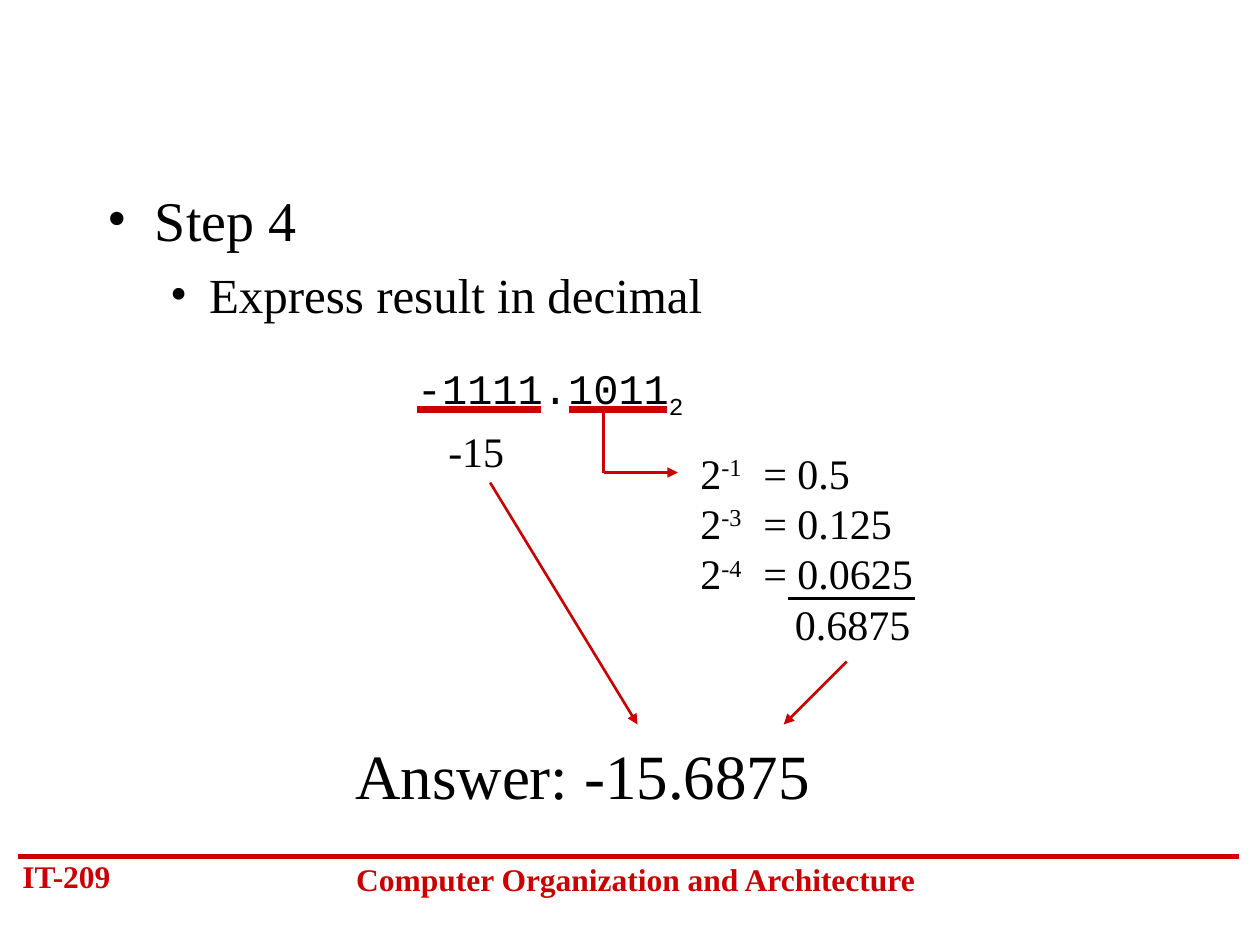
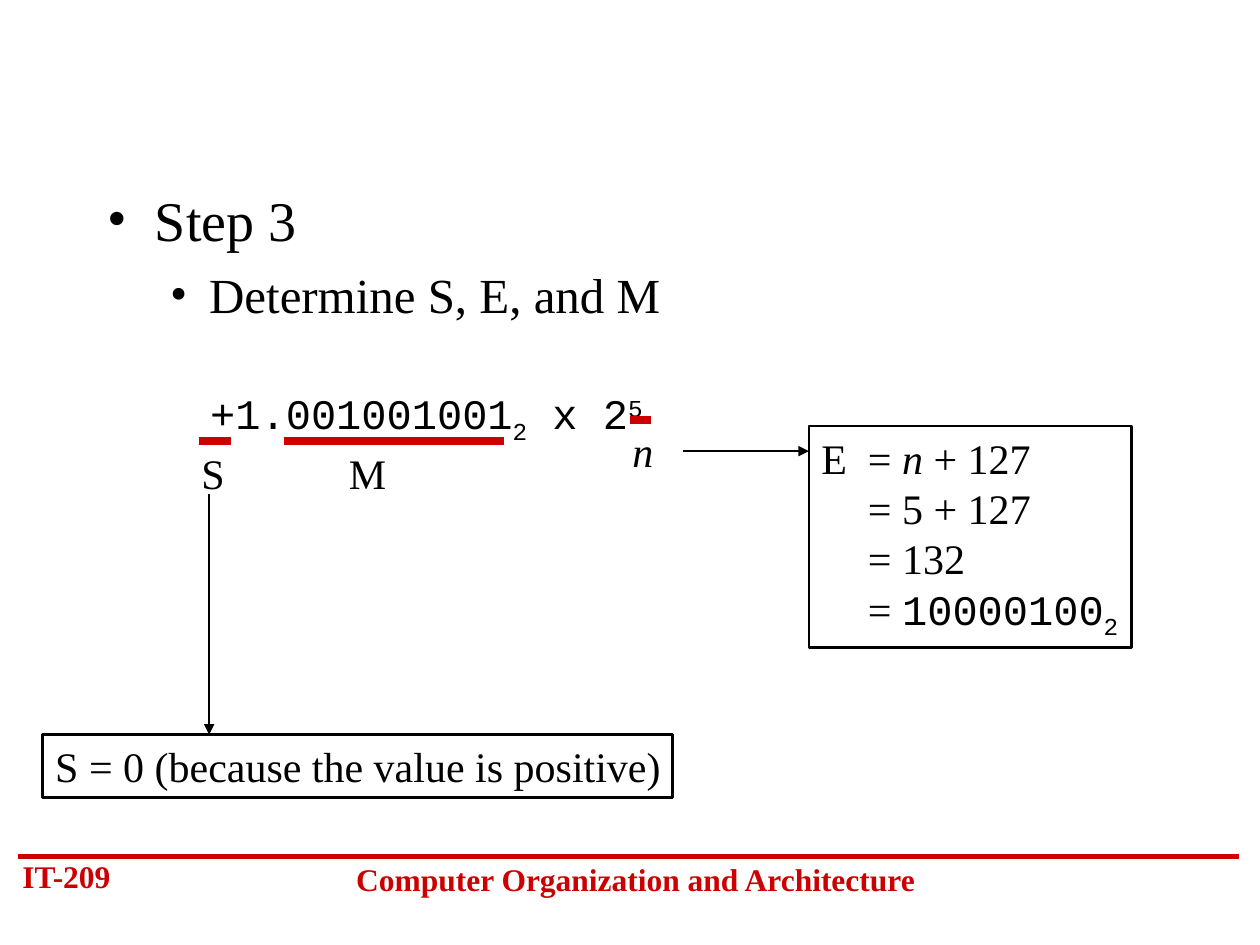
"""Build two slides on converting between binary floating point and decimal."""
from lxml import etree
from pptx import Presentation
from pptx.dml.color import RGBColor
from pptx.enum import shapes, text
from pptx.oxml import ns
from pptx.util import Inches, Pt

RED = RGBColor(0xCC, 0x00, 0x00)
BLACK = RGBColor(0x00, 0x00, 0x00)
SERIF = "Times New Roman"
MONO = "Courier New"
SUB = {"baseline": "-25000"}
SUP = {"baseline": "30000"}
ITALIC = {"i": "1"}
THIN, BAND, THICK = 1.5, 3, 4.5


def write(page, place, paragraphs, size=24, font=SERIF, color=BLACK, bold=False, framed=False):
    """Add text at a place; each paragraph is its tab stop and its runs."""
    area = [Inches(length) for length in place]
    if framed:
        box = page.shapes.add_shape(shapes.MSO_SHAPE.RECTANGLE, *area)
        box.shadow.inherit = False
        box.fill.background()
        box.line.color.rgb = BLACK
        box.line.width = Pt(THIN)
    else:
        box = page.shapes.add_textbox(*area)
    frame = box.text_frame
    frame.word_wrap = not framed
    frame.vertical_anchor = text.MSO_ANCHOR.TOP
    for index, (tab_stop, runs) in enumerate(paragraphs):
        para = frame.add_paragraph() if index else frame.paragraphs[0]
        para.alignment = text.PP_ALIGN.LEFT
        if tab_stop:
            tabs = etree.SubElement(para._p.get_or_add_pPr(), ns.qn("a:tabLst"))
            etree.SubElement(tabs, ns.qn("a:tab"), pos=str(Inches(tab_stop)), algn="l")
        for words, style, *own_font in runs:
            span = para.add_run()
            span.text = words
            span.font.size = Pt(size)
            span.font.name = own_font[0] if own_font else font
            span.font.color.rgb = color
            span.font.bold = bold
            for name, value in style.items():
                span._r.get_or_add_rPr().set(name, value)
    return box


def draw_line(page, ends, color, width, arrow=False):
    """Draw a straight line, with an arrowhead at its end if asked."""
    line = page.shapes.add_connector(
        shapes.MSO_CONNECTOR.STRAIGHT, *[Inches(length) for length in ends])
    line.line.color.rgb = color
    line.line.width = Pt(width)
    properties = line._element.spPr
    if arrow:
        etree.SubElement(properties.find(ns.qn("a:ln")), ns.qn("a:tailEnd"), type="triangle")
    etree.SubElement(properties, ns.qn("a:effectLst"))


deck = Presentation()
deck.slide_width, deck.slide_height = Inches(10), Inches(7.5)

STEPS = [("Step 4", "Express result in decimal"), ("Step 3", "Determine S, E, and M")]
LEVELS = [(32, 8, 0.38, 0.38), (28, 7, 0.81, 0.31)]
pages = []
for step in STEPS:
    page = deck.slides.add_slide(deck.slide_layouts[1])
    pages.append(page)
    title = page.shapes.title._element
    title.getparent().remove(title)

    draw_line(page, (0.14, 6.8, 9.83, 6.8), RED, BAND)
    write(page, (0.08, 6.75, 1.5, 0.4), [(0, [("IT-209", {})])], 18, color=RED, bold=True)
    course = write(page, (2.67, 6.78, 4.75, 0.4),
                   [(0, [("Computer Organization and Architecture", {})])],
                   18, color=RED, bold=True)
    course.text_frame.paragraphs[0].alignment = text.PP_ALIGN.CENTER

    body = page.placeholders[1]
    body.left, body.top = Inches(0.75), Inches(1.42)
    body.width, body.height = Inches(8.5), Inches(4.5)
    body.text_frame.text = "\n".join(step)
    body.text_frame.auto_size = text.MSO_AUTO_SIZE.NONE
    for level, (size, before, margin, hanging) in enumerate(LEVELS):
        para = body.text_frame.paragraphs[level]
        para.level = level
        para.space_before = Pt(before)
        layout = para._p.get_or_add_pPr()
        layout.set("marL", str(Inches(margin)))
        layout.set("indent", str(-Inches(hanging)))
        etree.SubElement(layout, ns.qn("a:buFont"), typeface=SERIF)
        etree.SubElement(layout, ns.qn("a:buChar"), char="•")
        font = para.runs[0].font
        font.size, font.name = Pt(size), SERIF
        font.color.rgb = BLACK

decimal, fields = pages

write(decimal, (3.21, 2.83, 2.51, 0.56), [(0, [("-1111.1011", {}), ("2", SUB)])], font=MONO)
for left, right in [(3.31, 4.29), (4.52, 5.29)]:
    draw_line(decimal, (left, 3.25, right, 3.25), RED, THICK)
write(decimal, (3.46, 3.33, 0.8, 0.5), [(0, [("-15", {})])])

powers = [("-1", "0.5"), ("-3", "0.125"), ("-4", "0.0625")]
total = [(0.5, [("2", {}), (exponent + "\t", SUP), ("= " + value, {})])
         for exponent, value in powers]
total.append((0.75, [("\t0.6875", {})]))
write(decimal, (5.46, 3.5, 2.2, 1.7), total)
draw_line(decimal, (6.25, 4.75, 7.26, 4.75), BLACK, THIN)

draw_line(decimal, (4.79, 3.25, 4.79, 3.75), RED, THIN)
for ends in [(4.79, 3.75, 5.38, 3.75), (3.89, 3.83, 5.06, 5.75), (6.72, 5.25, 6.22, 5.75)]:
    draw_line(decimal, ends, RED, THIN, arrow=True)
write(decimal, (2.72, 5.8, 4, 0.7), [(0, [("Answer: -15.6875", {})])], 36)

write(fields, (1.57, 3.03, 3.8, 0.56),
      [(0, [("+1.001001001", {}), ("2", SUB), (" x 2", {}), ("5", SUP)])], font=MONO)
for left, right, height in [(1.58, 1.83, 3.5), (2.25, 4, 3.5), (5, 5.17, 3.33)]:
    draw_line(fields, (left, height, right, height), RED, THICK)
for name, left, top, style in [
        ("S", 1.5, 3.5, {}), ("M", 2.67, 3.5, {}), ("n", 4.92, 3.33, ITALIC)]:
    write(fields, (left, top, 0.5, 0.5), [(0, [(name, style)])])

write(fields, (0.34, 5.83, 5, 0.5),
      [(0, [("S = 0 (because the value is positive)", {})])], framed=True)
exponent_lines = [
    [("E\t= ", {}), ("n", ITALIC), (" + 127", {})],
    [("\t= 5 + 127", {})],
    [("\t= 132", {})],
    [("\t= ", {}), ("10000100", {}, MONO), ("2", SUB, MONO)],
]
write(fields, (6.42, 3.38, 2.56, 1.76), [(0.37, runs) for runs in exponent_lines], framed=True)
for ends in [(1.66, 3.92, 1.66, 5.83), (5.42, 3.58, 6.42, 3.58)]:
    draw_line(fields, ends, BLACK, THIN, arrow=True)

deck.save("out.pptx")
